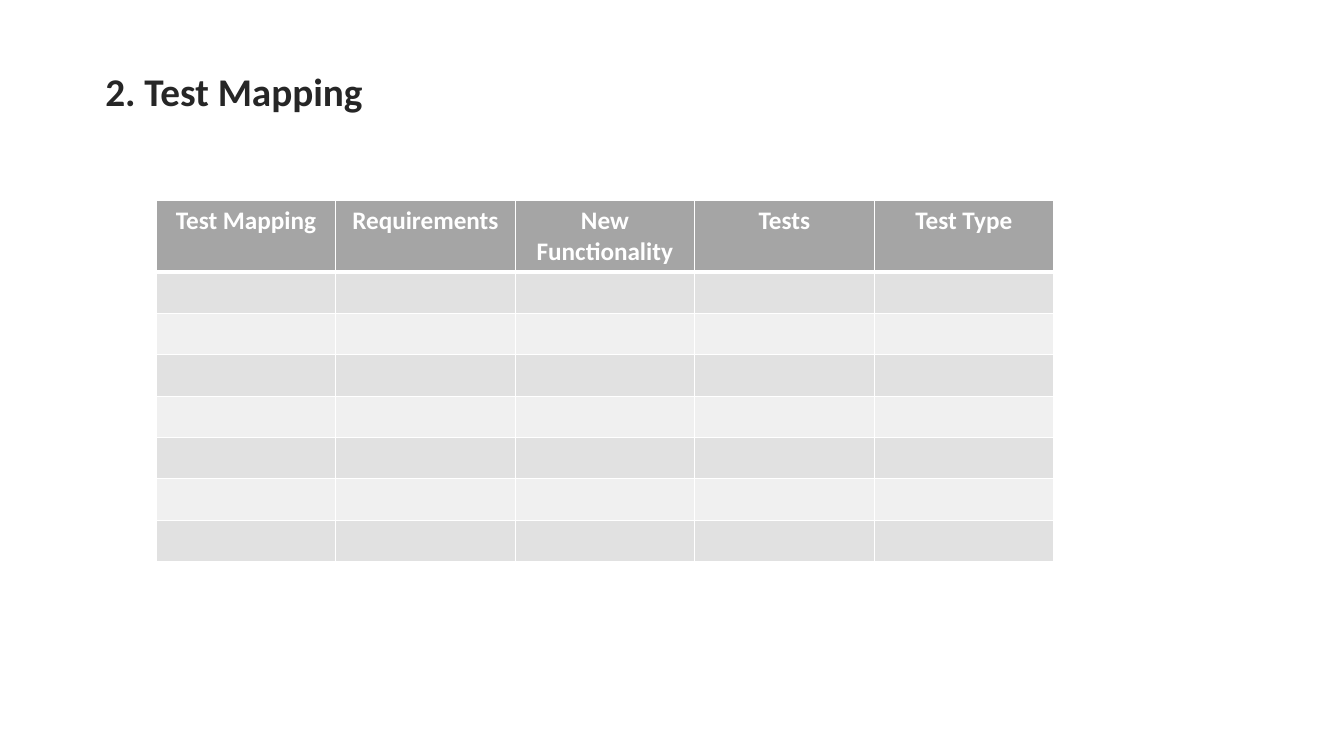
from lxml import etree
from pptx import Presentation
from pptx.dml.color import RGBColor
from pptx.enum.text import MSO_ANCHOR, PP_ALIGN
from pptx.oxml.ns import qn
from pptx.util import Inches, Pt

CENTER = PP_ALIGN.CENTER
MIDDLE = MSO_ANCHOR.MIDDLE

HEADING = "2. Test Mapping"
COLUMNS = ["Test Mapping", "Requirements", "New Functionality", "Tests", "Test Type"]
EMPTY_ROWS = 7

COLORS = {
    "heading": "262626",
    "header": "A5A5A5",
    "odd": "E1E1E1",
    "even": "F0F0F0",
    "white": "FFFFFF",
}
FONT = "Calibri"
HEADING_BOX = (0.93, 0.62, 2.78, 0.57)
TABLE_LEFT, TABLE_TOP = 1.55, 1.99
COLUMN_WIDTH = 1.78
HEADER_HEIGHT, ROW_HEIGHT = 0.69, 0.41
THIN, THICK = 1, 3


def write(frame, text, size, color, bold=True, align=CENTER):
    paragraph = frame.paragraphs[0]
    paragraph.alignment = align
    run = paragraph.add_run()
    run.text = text
    run.font.name = FONT
    run.font.size = Pt(size)
    run.font.bold = bold
    run.font.color.rgb = RGBColor.from_string(COLORS[color])


def draw_borders(cell, **widths):
    properties = cell._tc.get_or_add_tcPr()
    for side in ("L", "R", "T", "B"):
        width = widths.get(side, THIN)
        line = etree.SubElement(properties, qn(f"a:ln{side}"), w=str(Pt(width)))
        fill = etree.SubElement(line, qn("a:solidFill"))
        etree.SubElement(fill, qn("a:srgbClr"), val=COLORS["white"])


def paint(cell, color):
    cell.fill.solid()
    cell.fill.fore_color.rgb = RGBColor.from_string(COLORS[color])


deck = Presentation()
deck.slide_width, deck.slide_height = Inches(13.33), Inches(7.5)
slide = deck.slides.add_slide(deck.slide_layouts[5])

heading = slide.shapes.title
heading.left, heading.top, heading.width, heading.height = map(Inches, HEADING_BOX)
heading.text_frame.word_wrap = False
heading.text_frame.vertical_anchor = MIDDLE
write(heading.text_frame, HEADING, 28, "heading")

mapping = slide.shapes.add_table(
    EMPTY_ROWS + 1,
    len(COLUMNS),
    Inches(TABLE_LEFT),
    Inches(TABLE_TOP),
    Inches(COLUMN_WIDTH * len(COLUMNS)),
    Inches(HEADER_HEIGHT + ROW_HEIGHT * EMPTY_ROWS),
).table

for column in mapping.columns:
    column.width = Inches(COLUMN_WIDTH)

for row_index, row in enumerate(mapping.rows):
    is_header = row_index == 0
    row.height = Inches(HEADER_HEIGHT if is_header else ROW_HEIGHT)
    band = "header" if is_header else "odd" if row_index % 2 else "even"
    for cell, label in zip(row.cells, COLUMNS):
        draw_borders(cell, B=THICK if is_header else THIN,
                     T=THICK if row_index == 1 else THIN)
        paint(cell, band)
        if is_header:
            write(cell.text_frame, label, 18, "white")

deck.save("out.pptx")
